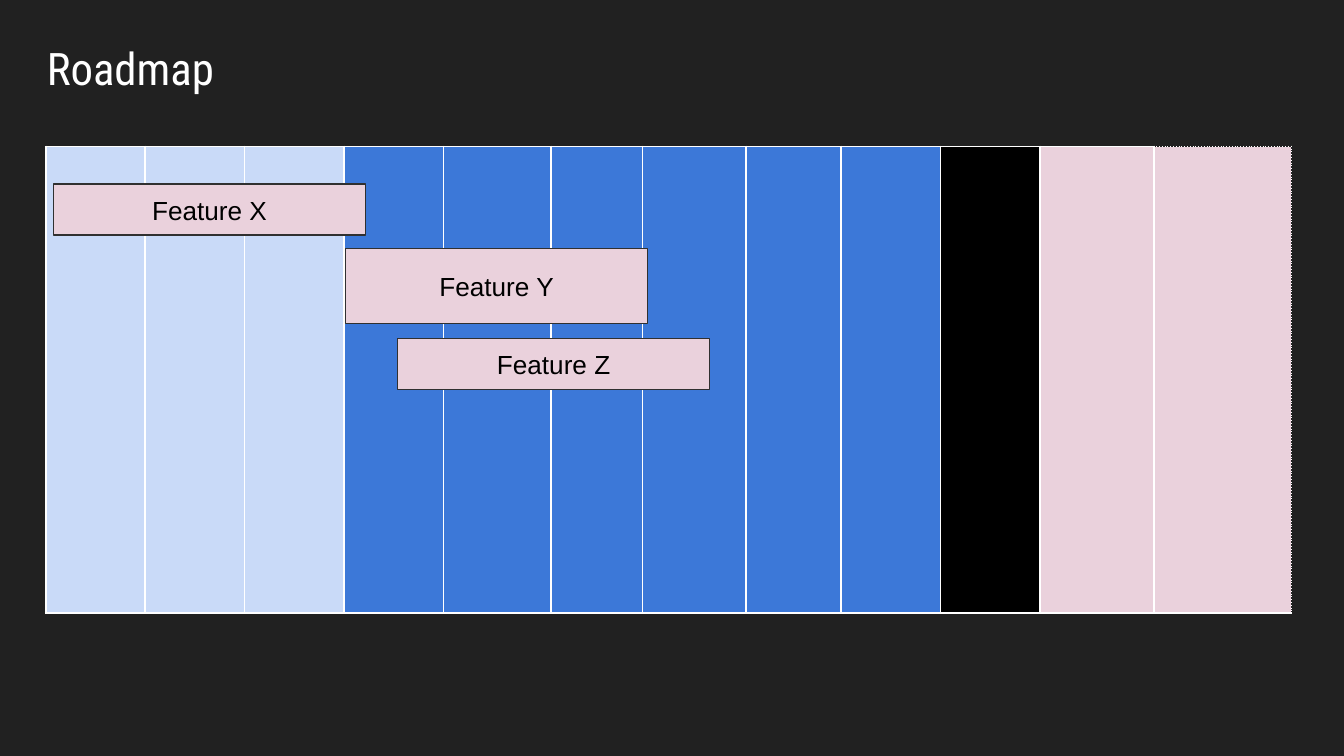
"""Build a roadmap slide: a twelve-column timeline with feature bars."""
from lxml.etree import SubElement
from pptx import Presentation
from pptx.dml.color import RGBColor
from pptx.enum.shapes import MSO_SHAPE
from pptx.enum.text import MSO_ANCHOR, PP_ALIGN
from pptx.oxml.ns import qn
from pptx.util import Inches, Pt

COLORS = {
    "background": "212121", "white": "FFFFFF", "black": "000000",
    "past": "C9DAF8", "current": "3C78D8", "later": "EAD1DC", "outline": "303030",
}
TITLE = "Roadmap"
PERIODS = [
    ("past", 0.74), ("past", 0.74), ("past", 0.74),
    ("current", 0.74), ("current", 0.8), ("current", 0.68),
    ("current", 0.77), ("current", 0.71), ("current", 0.74),
    ("black", 0.74), ("later", 0.85), ("later", 1.02),
]
ROW_HEIGHTS = [0.66] * 4 + [0.83]
TIMELINE_LEFT, TIMELINE_TOP = 0.34, 1.09
FEATURES = [
    ("Feature X", 0.4, 1.37, 2.32, 0.38),
    ("Feature Y", 2.57, 1.85, 2.25, 0.56),
    ("Feature Z", 2.96, 2.52, 2.32, 0.38),
]


def rgb(name):
    return RGBColor.from_string(COLORS[name])


def write(shape, text, font, size, color, align, anchor):
    frame = shape.text_frame
    frame.text = text
    frame.word_wrap = True
    frame.vertical_anchor = anchor
    frame.margin_left = frame.margin_right = Inches(0.1)
    frame.margin_top = frame.margin_bottom = Inches(0.1)
    paragraph = frame.paragraphs[0]
    paragraph.alignment = align
    face = paragraph.runs[0].font
    face.name, face.size = font, Pt(size)
    face.color.rgb = rgb(color)


def add_borders(cell, dotted):
    properties = cell._tc.get_or_add_tcPr()
    for side in "LRTB":
        border = SubElement(properties, qn(f"a:ln{side}"), w=str(Pt(1)))
        paint = SubElement(border, qn("a:solidFill"))
        SubElement(paint, qn("a:srgbClr"), val=COLORS["white"])
        SubElement(border, qn("a:prstDash"), val="dot" if side in dotted else "solid")


def add_timeline(slide):
    widths = [width for _, width in PERIODS]
    timeline = slide.shapes.add_table(
        len(ROW_HEIGHTS), len(PERIODS), Inches(TIMELINE_LEFT), Inches(TIMELINE_TOP),
        Inches(sum(widths)), Inches(sum(ROW_HEIGHTS))).table
    timeline.first_row = timeline.horz_banding = False
    for row, height in zip(timeline.rows, ROW_HEIGHTS):
        row.height = Inches(height)
    last_row, last_period = len(ROW_HEIGHTS) - 1, len(PERIODS) - 1
    for index, (period, width) in enumerate(PERIODS):
        timeline.columns[index].width = Inches(width)
        for row in range(len(ROW_HEIGHTS)):
            cell = timeline.cell(row, index)
            add_borders(cell, "TR" if index == last_period else "")
            cell.fill.solid()
            cell.fill.fore_color.rgb = rgb(period)
        timeline.cell(0, index).merge(timeline.cell(last_row, index))


def add_feature(slide, name, *box):
    bar = slide.shapes.add_shape(MSO_SHAPE.RECTANGLE, *map(Inches, box))
    bar.shadow.inherit = False
    bar.fill.solid()
    bar.fill.fore_color.rgb = rgb("later")
    bar.line.color.rgb = rgb("outline")
    bar.line.width = Pt(0.75)
    write(bar, name, "Arial", 14, "black", PP_ALIGN.CENTER, MSO_ANCHOR.MIDDLE)


def main():
    deck = Presentation()
    deck.slide_width = Inches(10)
    deck.slide_height = deck.slide_width * 9 // 16
    slide = deck.slides.add_slide(deck.slide_layouts[6])
    slide.background.fill.solid()
    slide.background.fill.fore_color.rgb = rgb("background")
    heading = slide.shapes.add_textbox(*map(Inches, (0.25, 0.2, 8.42, 0.62)))
    write(heading, TITLE, "Roboto Condensed", 24, "white", PP_ALIGN.LEFT, MSO_ANCHOR.TOP)
    add_timeline(slide)
    for feature in FEATURES:
        add_feature(slide, *feature)
    deck.save("out.pptx")


if __name__ == "__main__":
    main()
